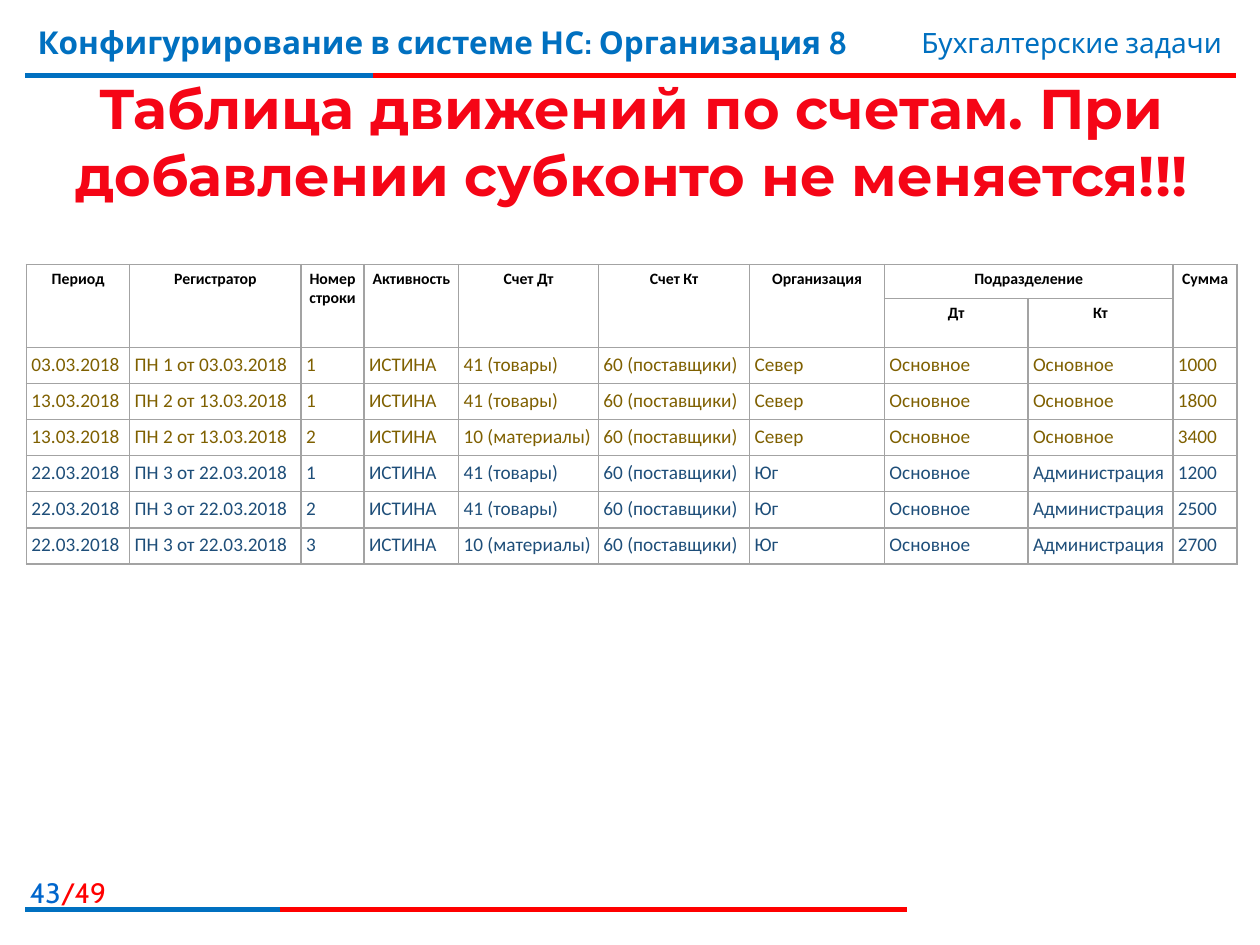
import pptx
import pptx.dml.color
import pptx.enum.shapes
import pptx.enum.text
import pptx.oxml
import pptx.oxml.ns
import pptx.util

COLORS = {
    "blue": "0070C0",
    "number": "0066CC",
    "red": "FF0000",
    "title": "F50516",
    "title_end": "C00000",
    "black": "000000",
    "olive": "7F6000",
    "navy": "1E4E79",
    "border": "A3A3A3",
}
ALIGN = pptx.enum.text.PP_ALIGN

deck = pptx.Presentation()
deck.slide_width = pptx.util.Inches(10)
deck.slide_height = pptx.util.Inches(7.5)
page = deck.slides.add_slide(deck.slide_layouts[6])

# The page is a grid of 100 columns by 75 rows
COLUMN = deck.slide_width // 100
ROW = deck.slide_height // 75


def write(para, text, size=11, color="black", face="Calibri", bold=False, align=ALIGN.LEFT):
    """Add one formatted span to a paragraph."""
    para.alignment = align
    span = para.add_run()
    span.text = text
    span.font.size = pptx.util.Pt(size)
    span.font.name = face
    span.font.bold = bold
    span.font.color.rgb = pptx.dml.color.RGBColor.from_string(COLORS[color])
    return span


def add_box(left, top, width, height):
    """Add a wrapping text box, placed in grid columns and rows."""
    box = page.shapes.add_textbox(
        int(left * COLUMN), int(top * ROW), int(width * COLUMN), int(height * ROW))
    box.text_frame.word_wrap = True
    return box.text_frame


# Two-colour rules at the top and bottom: row, end of blue, end of red
for row, blue_end, red_end in [(6, 29.6, 98.1), (72.2, 22.2, 72)]:
    for color, end in [("red", red_end), ("blue", blue_end)]:
        rule = page.shapes.add_connector(
            pptx.enum.shapes.MSO_CONNECTOR.STRAIGHT,
            2 * COLUMN, int(row * ROW), int(end * COLUMN), int(row * ROW))
        rule.line.width = pptx.util.Pt(3)
        rule.line.color.rgb = pptx.dml.color.RGBColor.from_string(COLORS[color])
        properties = rule.element.find(pptx.oxml.ns.qn("p:spPr"))
        properties.append(pptx.oxml.parse_xml(
            f'<a:effectLst {pptx.oxml.ns.nsdecls("a")}/>'))

# Page number, running heads and title
number = add_box(-1, 69, 10.4, 3.2).paragraphs[0]
write(number, "43", size=16, color="number", face="Cabin", align=ALIGN.RIGHT)
write(number, "/49", size=16, color="red", face="Cabin", align=ALIGN.RIGHT)

course = add_box(2, 1.3, 74, 6.2).paragraphs[0]
write(course, "Конфигурирование в системе НС: Организация 8",
      size=18, color="blue", face="Cabin", bold=True)

topic = add_box(59.4, 1.5, 38.6, 3.7).paragraphs[0]
write(topic, "Бухгалтерские задачи", size=16, color="blue", face="Cabin", align=ALIGN.RIGHT)

title = add_box(2.1, 6.3, 96.1, 9.7)
title.vertical_anchor = pptx.enum.text.MSO_ANCHOR.MIDDLE
heading = write(
    title.paragraphs[0],
    "Таблица движений по счетам. При добавлении субконто не меняется!!!",
    size=32, color="title", face="Montserrat", bold=True, align=ALIGN.CENTER)
heading.font.fill.gradient()
heading.font.fill.gradient_angle = 270
for stop, position, color in zip(
        heading.font.fill.gradient_stops, (0.55, 0.86), ("title", "title_end")):
    stop.position = position
    stop.color.rgb = pptx.dml.color.RGBColor.from_string(COLORS[color])

# Table of account movements
headers = ["Период", "Регистратор", "Номер\nстроки", "Активность", "Счет Дт",
           "Счет Кт", "Организация", "Подразделение", "", "Сумма"]
subheaders = [""] * 7 + ["Дт", "Кт", ""]
goods, materials = "41 (товары)", "10 (материалы)"
# Date, document, line, debit account, organisation, credit department, amount
movements = [
    ("03.03.2018", 1, 1, goods, "Север", "Основное", 1000),
    ("13.03.2018", 2, 1, goods, "Север", "Основное", 1800),
    ("13.03.2018", 2, 2, materials, "Север", "Основное", 3400),
    ("22.03.2018", 3, 1, goods, "Юг", "Администрация", 1200),
    ("22.03.2018", 3, 2, goods, "Юг", "Администрация", 2500),
    ("22.03.2018", 3, 3, materials, "Юг", "Администрация", 2700),
]
rows = [headers, subheaders] + [
    [date, f"ПН {document} от {date}", str(line), "ИСТИНА", debit, "60 (поставщики)",
     organisation, "Основное", department, str(amount)]
    for date, document, line, debit, organisation, department, amount in movements]

column_widths = [8.2, 13.6, 5, 7.5, 11.1, 12, 10.7, 11.4, 11.5, 5.1]
row_heights = [2.7, 3.9] + [2.86] * len(movements)
table = page.shapes.add_table(
    len(rows), len(headers), int(2.1 * COLUMN), 21 * ROW,
    int(sum(column_widths) * COLUMN), int(sum(row_heights) * ROW)).table
table.first_row = False
table.horz_banding = False
for column, width in zip(table.columns, column_widths):
    column.width = int(width * COLUMN)
for row, height in zip(table.rows, row_heights):
    row.height = int(height * ROW)

for row_index, texts in enumerate(rows):
    if row_index < 2:
        style = {"size": 9, "bold": True, "align": ALIGN.CENTER}
    else:
        style = {"color": "olive" if texts[6] == "Север" else "navy"}
    for column_index, text in enumerate(texts):
        cell = table.cell(row_index, column_index)
        cell.margin_left = cell.margin_right = pptx.util.Inches(0.04)
        cell.margin_top = cell.margin_bottom = pptx.util.Inches(0.04)
        cell_properties = cell._tc.get_or_add_tcPr()
        for side in "LRTB":
            cell_properties.append(pptx.oxml.parse_xml(
                f'<a:ln{side} {pptx.oxml.ns.nsdecls("a")} w="{pptx.util.Pt(1)}"><a:solidFill>'
                f'<a:srgbClr val="{COLORS["border"]}"/></a:solidFill></a:ln{side}>'))
        cell.fill.background()
        if text:
            for line_index, line in enumerate(text.split("\n")):
                frame = cell.text_frame
                para = frame.add_paragraph() if line_index else frame.paragraphs[0]
                write(para, line, **style)

for column_index in [*range(7), 9]:
    table.cell(0, column_index).merge(table.cell(1, column_index))
table.cell(0, 7).merge(table.cell(0, 8))

deck.save("out.pptx")
